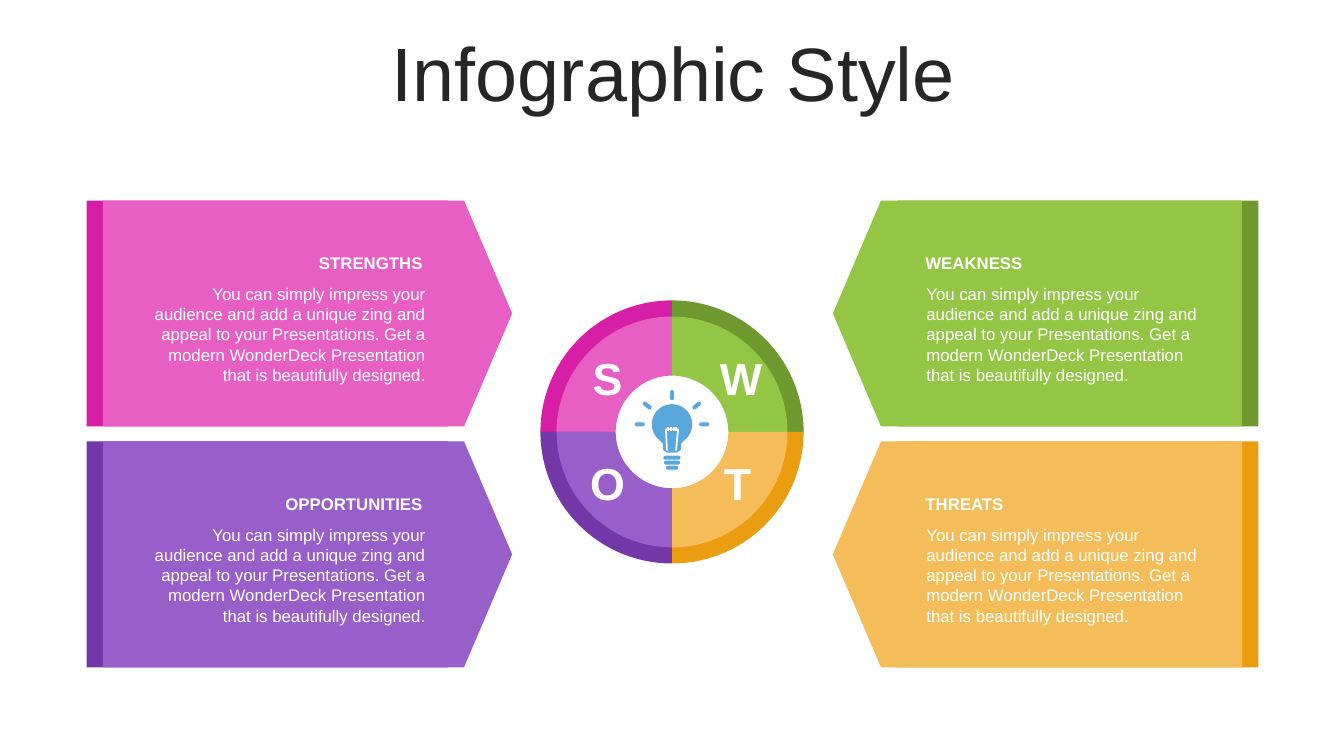
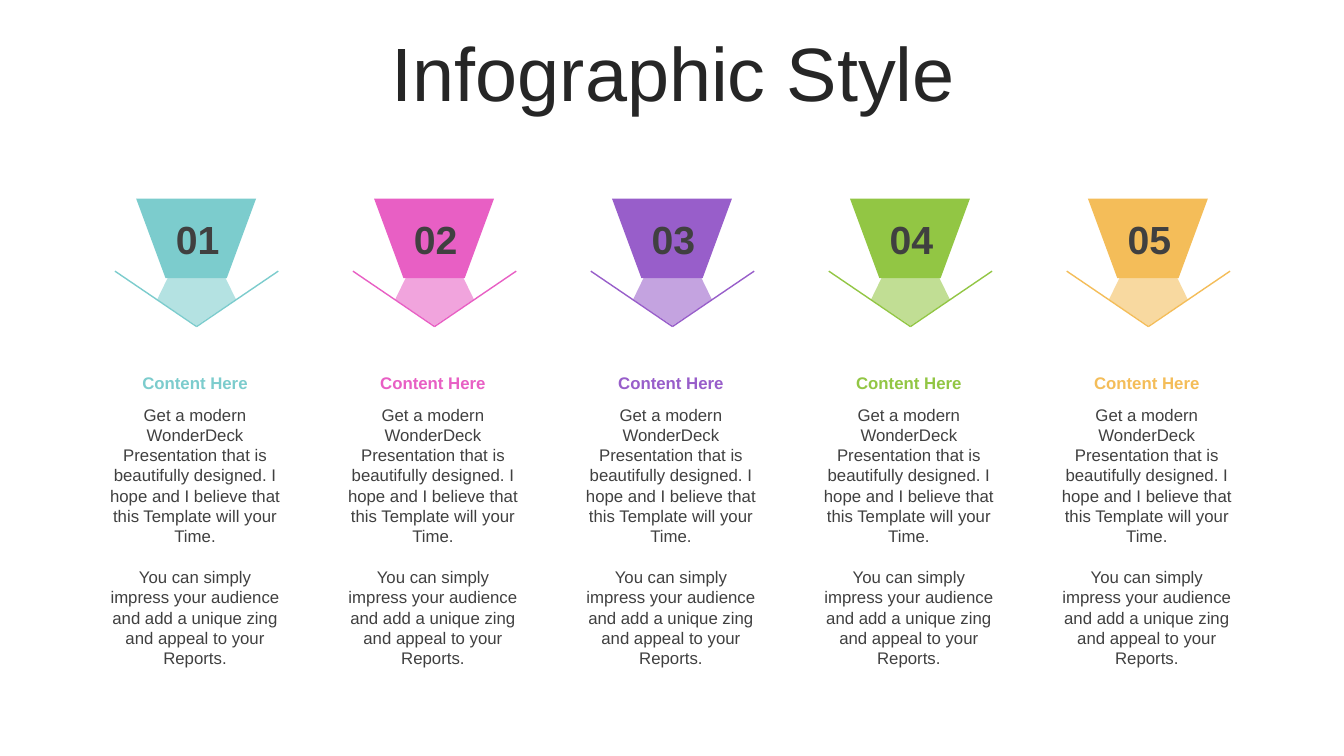
from dataclasses import dataclass
from math import cos, radians, sin

from lxml.etree import SubElement
from pptx import Presentation
from pptx.dml.color import RGBColor
from pptx.enum.shapes import MSO_CONNECTOR as Connector, MSO_SHAPE as Shape
from pptx.enum.text import MSO_ANCHOR as Anchor, PP_ALIGN as Align
from pptx.oxml.ns import qn
from pptx.util import Inches, Pt


@dataclass(frozen=True)
class Theme:
    font: str = "Arial"
    title_size: float = 54
    letter_size: float = 32
    number_size: float = 28
    body_size: float = 12
    body_leading: float = 14.5
    title: str = "262626"
    text: str = "404040"
    white: str = "FFFFFF"
    bulb: str = "58A8DD"
    teal: str = "7CCCCD"
    pink: str = "E85FC4"
    dark_pink: str = "D61FA6"
    purple: str = "985ECA"
    dark_purple: str = "7337A7"
    green: str = "92C644"
    dark_green: str = "6E992F"
    orange: str = "F4BD59"
    dark_orange: str = "EA9D10"


THEME = Theme()
TITLE = "Infographic Style"
SWOT_TEXT = (
    "You can simply impress your audience and add a unique zing and appeal "
    "to your Presentations. Get a modern WonderDeck Presentation that is "
    "beautifully designed."
)
COLUMN_TEXT = (
    "Get a modern WonderDeck Presentation that is beautifully designed. "
    "I hope and I believe that this Template will your Time.",
    "You can simply impress your audience and add a unique zing and appeal "
    "to your Reports.",
)


def box_of(*lengths):
    return [Inches(length) for length in lengths]


def write(frame, *texts, size=THEME.body_size, color=THEME.text, bold=False,
          align=Align.LEFT, anchor=Anchor.TOP, leading=None, gap=0):
    frame.word_wrap = True
    frame.vertical_anchor = anchor
    for index, text in enumerate(texts):
        para = frame.add_paragraph() if index else frame.paragraphs[0]
        para.alignment = align
        para.space_before = Pt(gap if index else 0)
        if leading:
            para.line_spacing = leading
        span = para.add_run()
        span.text = text
        span.font.name = THEME.font
        span.font.size = Pt(size)
        span.font.bold = bold
        span.font.color.rgb = RGBColor.from_string(color)


def add_text(page, box, *texts, **style):
    write(page.shapes.add_textbox(*box_of(*box)).text_frame, *texts, **style)


def paint(shape, color, alpha=None):
    shape.shadow.inherit = False
    shape.fill.solid()
    shape.fill.fore_color.rgb = RGBColor.from_string(color)
    shape.line.fill.background()
    if alpha:
        for tint in shape.element.spPr.iter(qn("a:srgbClr")):
            SubElement(tint, qn("a:alpha")).set("val", str(alpha * 1000))


def add_preset(page, kind, box, color, adjustments=(), rotation=0):
    shape = page.shapes.add_shape(kind, *box_of(*box))
    for index, value in enumerate(adjustments):
        shape.adjustments[index] = value
    shape.rotation = rotation
    paint(shape, color)


def add_outline(page, strokes, closed=True):
    builder = page.shapes.build_freeform(*box_of(*strokes[0][0]))
    for index, stroke in enumerate(strokes):
        if index:
            builder.move_to(*box_of(*stroke[0]))
        builder.add_line_segments([box_of(*point) for point in stroke[1:]], close=closed)
    return builder.convert_to_shape()


def add_line(page, start, end, color):
    line = page.shapes.add_connector(Connector.STRAIGHT, *box_of(*start, *end))
    line.line.color.rgb = RGBColor.from_string(color)
    line.line.width = Pt(1)
    SubElement(line.element.spPr, qn("a:effectLst"))


def add_page(deck):
    page = deck.slides.add_slide(deck.slide_layouts[5])
    title = page.shapes.title
    title.left, title.top, title.width, title.height = box_of(0.35, 0.37, 12.66, 0.79)
    write(title.text_frame, TITLE, size=THEME.title_size, color=THEME.title,
          align=Align.CENTER, anchor=Anchor.MIDDLE, leading=0.9)
    return page


def add_panel(page, left, top, heading, light, dark, mirrored):
    band, width, height = 0.16, 4.06, 2.24
    dark_left, light_left = (left + band, left) if mirrored else (left, left + band)
    for plate_left, color in ((dark_left, dark), (light_left, light)):
        add_preset(page, Shape.PENTAGON, (plate_left, top, width, height), color,
                   (0.213,), 180 if mirrored else 0)
    text_left = left + (0.83 if mirrored else 0.46)
    style = {"color": THEME.white, "align": Align.LEFT if mirrored else Align.RIGHT}
    add_text(page, (text_left, top + 0.77, 3, 1.11), SWOT_TEXT,
             leading=Pt(THEME.body_leading), **style)
    add_text(page, (text_left - 0.01, top + 0.47, 2.98, 0.3), heading, bold=True, **style)


def add_ring(page, left, top, size, colors):
    for turn, color in enumerate(colors):
        add_preset(page, Shape.BLOCK_ARC, (left, top, size, size), color,
                   (108, 162.088, 0.256), 90 * turn)


def add_bulb(page, x, y):
    radius = 0.2
    glass = [(x + radius * cos(radians(angle)), y + radius * sin(radians(angle)))
             for angle in range(135, 406, 6)]
    neck = [(x + 0.09, y + 0.19), (x + 0.09, y + 0.25), (x + 0.05, y + 0.28),
            (x - 0.05, y + 0.28), (x - 0.09, y + 0.25), (x - 0.09, y + 0.19)]
    paint(add_outline(page, [glass + neck]), THEME.bulb)

    coil = [[(x - 0.05, y + 0.26), (x - 0.06, y + 0.05),
             (x + 0.06, y + 0.05), (x + 0.04, y + 0.26)]]
    ticks = [[(x + offset, y + 0.03), (x + offset, y + 0.07)]
             for offset in (-0.04, -0.01, 0.02, 0.04)]
    filament = add_outline(page, coil + ticks, closed=False)
    filament.shadow.inherit = False
    filament.fill.background()
    filament.line.color.rgb = RGBColor.from_string(THEME.white)
    filament.line.width = Pt(1.25)

    for row, width in enumerate((0.17, 0.16, 0.12)):
        add_preset(page, Shape.ROUNDED_RECTANGLE,
                   (x - width / 2, y + 0.31 + 0.05 * row, width, 0.04), THEME.bulb, (0.5,))
    for angle in (0, 40, 90, 140, 180):
        ray_x = x + 0.32 * cos(radians(angle))
        ray_y = y - 0.29 * sin(radians(angle))
        add_preset(page, Shape.ROUNDED_RECTANGLE, (ray_x - 0.05, ray_y - 0.02, 0.1, 0.04),
                   THEME.bulb, (0.5,), -angle)


def add_wheel(page, left, top, size):
    rim = 0.16
    add_ring(page, left, top, size,
             (THEME.dark_pink, THEME.dark_green, THEME.dark_orange, THEME.dark_purple))
    add_ring(page, left + rim, top + rim, size - 2 * rim,
             (THEME.pink, THEME.green, THEME.orange, THEME.purple))
    for index, letter in enumerate("SWOT"):
        row, column = divmod(index, 2)
        add_text(page, (left + 0.39 + 1.29 * column, top + 0.45 + 1.04 * row, 0.55, 0.64),
                 letter, size=THEME.letter_size, color=THEME.white, bold=True,
                 align=Align.CENTER)
    add_bulb(page, left + size / 2, top + 1.23)


def build_swot(deck):
    page = add_page(deck)
    panels = (
        ("STRENGTHS", THEME.pink, THEME.dark_pink),
        ("WEAKNESS", THEME.green, THEME.dark_green),
        ("OPPORTUNITIES", THEME.purple, THEME.dark_purple),
        ("THREATS", THEME.orange, THEME.dark_orange),
    )
    for index, (heading, light, dark) in enumerate(panels):
        row, column = divmod(index, 2)
        add_panel(page, 0.86 + 7.4 * column, 1.99 + 2.39 * row, heading, light, dark,
                  mirrored=column == 1)
    add_wheel(page, 5.36, 2.98, 2.61)


def add_column(page, left, top, number, color):
    width = 1.93
    middle = left + 0.98
    tip = (middle, top + 1.27)
    centered = {"align": Align.CENTER}
    add_preset(page, Shape.TRAPEZOID, (middle - 0.6, top, 1.19, 0.79), color, (0.369,), 180)
    arrow = [(middle, top + 0.2), (middle + 0.39, top + 1),
             (middle, top + 1.26), (middle - 0.39, top + 1)]
    paint(add_outline(page, [arrow]), color, alpha=57)
    for side in (1, -1):
        add_line(page, tip, (middle + 0.81 * side, top + 0.72), color)
    add_text(page, (left + 0.61, top + 0.11, 0.76, 0.57), f"{number:02}",
             size=THEME.number_size, bold=True, anchor=Anchor.MIDDLE, **centered)
    add_text(page, (left, top + 1.68, width, 0.3), "Content Here", color=color, bold=True,
             anchor=Anchor.MIDDLE, **centered)
    add_text(page, (left, top + 1.99, width, 2.73), *COLUMN_TEXT,
             leading=Pt(THEME.body_leading), gap=THEME.body_leading, **centered)


def build_columns(deck):
    page = add_page(deck)
    colors = (THEME.teal, THEME.pink, THEME.purple, THEME.green, THEME.orange)
    for index, color in enumerate(colors):
        add_column(page, 0.97 + 2.36 * index, 1.97, index + 1, color)


def main():
    deck = Presentation()
    deck.slide_width, deck.slide_height = box_of(13.33, 7.5)
    build_swot(deck)
    build_columns(deck)
    deck.save("out.pptx")


if __name__ == "__main__":
    main()
